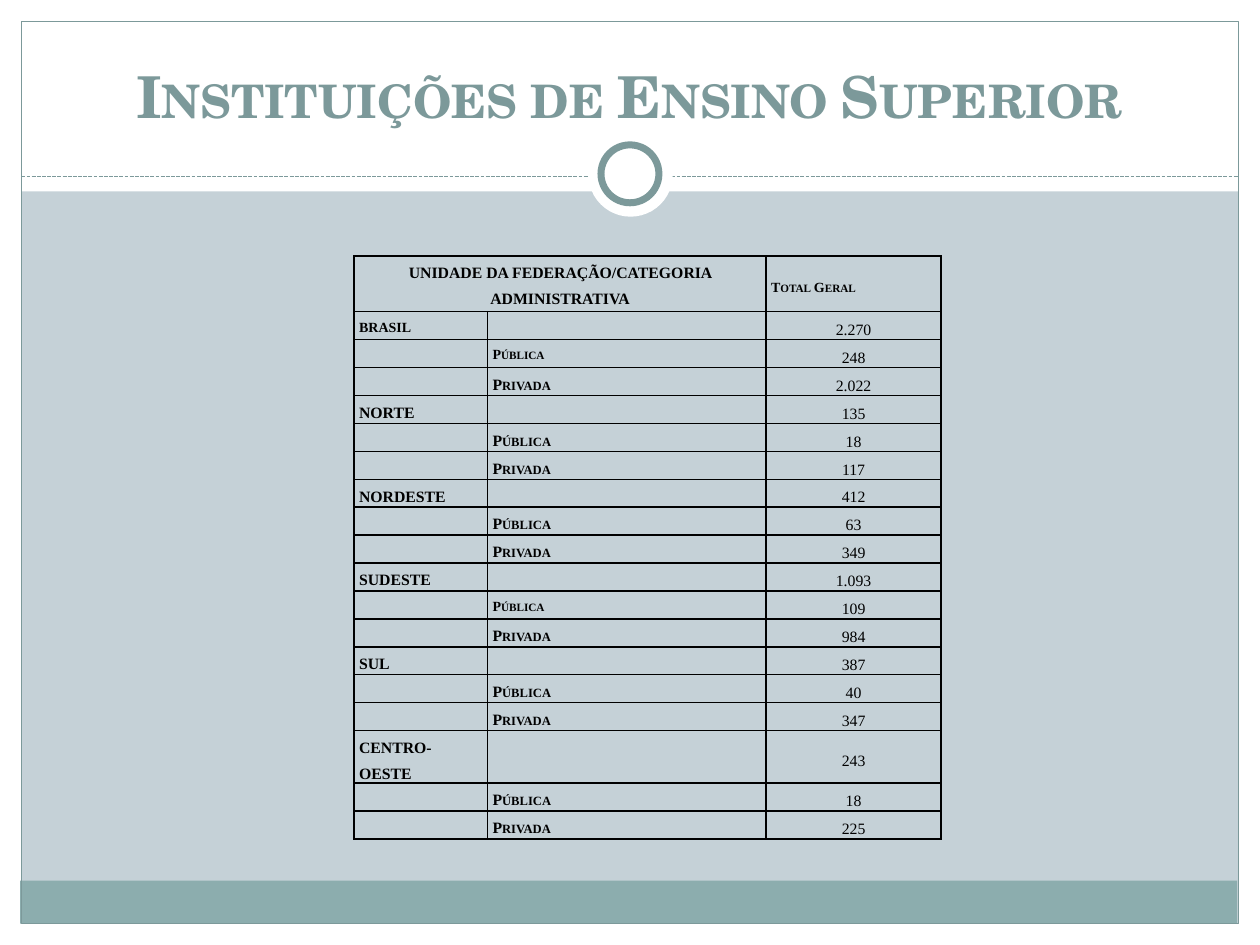
from dataclasses import dataclass

from lxml import etree
from pptx import Presentation
from pptx.dml.color import RGBColor
from pptx.enum.dml import MSO_LINE
from pptx.enum.shapes import MSO_CONNECTOR, MSO_SHAPE
from pptx.enum.text import MSO_ANCHOR, MSO_AUTO_SIZE, PP_ALIGN
from pptx.oxml.ns import qn
from pptx.util import Inches, Pt

RECT, OVAL = MSO_SHAPE.RECTANGLE, MSO_SHAPE.OVAL
STRAIGHT, DASH = MSO_CONNECTOR.STRAIGHT, MSO_LINE.SQUARE_DOT
LEFT, CENTER, JUSTIFY = PP_ALIGN.LEFT, PP_ALIGN.CENTER, PP_ALIGN.JUSTIFY
TOP, MIDDLE, BOTTOM = MSO_ANCHOR.TOP, MSO_ANCHOR.MIDDLE, MSO_ANCHOR.BOTTOM
TITLE_ONLY = 5
COLS, ROWS = 100, 75  # slide grid


@dataclass(frozen=True)
class Theme:
    background: str = "C5D1D7"
    paper: str = "FFFFFF"
    accent: str = "7C999A"
    band: str = "8CADAE"
    ink: str = "000000"
    title_font: str = "TeX Gyre Schola"
    table_font: str = "Times New Roman"
    title_size: float = 33
    cell_size: float = 9
    small_size: float = 8
    hairline: float = 0.75
    ring: float = 4
    border: float = 1


def rgb(value):
    return RGBColor.from_string(value)


class SlideBuilder:
    """Places styled elements on one slide, in grid columns and rows."""

    def __init__(self, prs, theme):
        self.theme = theme
        self.col, self.row = prs.slide_width / COLS, prs.slide_height / ROWS
        self.s = prs.slides.add_slide(prs.slide_layouts[TITLE_ONLY])
        fill = self.s.background.fill
        fill.solid()
        fill.fore_color.rgb = rgb(theme.background)

    def at(self, x, y, w, h):
        return (round(x * self.col), round(y * self.row),
                round(w * self.col), round(h * self.row))

    def shape(self, kind, box, fill=None, line=None, width=0):
        sp = self.s.shapes.add_shape(kind, *self.at(*box))
        sp.shadow.inherit = False
        if fill:
            sp.fill.solid()
            sp.fill.fore_color.rgb = rgb(fill)
        else:
            sp.fill.background()
        if line:
            sp.line.color.rgb = rgb(line)
            sp.line.width = Pt(width)
        else:
            sp.line.fill.background()

    def dashed_rule(self, x1, x2, y):
        ends = self.at(x1, y, x2, y)
        cn = self.s.shapes.add_connector(STRAIGHT, *ends)
        cn.line.color.rgb = rgb(self.theme.accent)
        cn.line.width = Pt(self.theme.hairline)
        cn.line.dash_style = DASH
        etree.SubElement(cn.element.spPr, qn("a:effectLst"))

    def format_run(self, r, font, size, color, bold, small_caps):
        r.font.name, r.font.size, r.font.bold = font, Pt(size), bold
        r.font.color.rgb = rgb(color)
        if small_caps:
            r._r.get_or_add_rPr().set("cap", "small")

    def title(self, text, box):
        sp = self.s.shapes.title
        self.s.shapes.element.append(sp.element)  # in front of the frame
        sp.left, sp.top, sp.width, sp.height = self.at(*box)
        tf = sp.text_frame
        tf.text = text
        tf.word_wrap, tf.auto_size = True, MSO_AUTO_SIZE.NONE
        tf.vertical_anchor = BOTTOM
        p = tf.paragraphs[0]
        p.alignment = CENTER
        t = self.theme
        self.format_run(p.runs[0], t.title_font, t.title_size, t.accent, True, True)

    def table(self, x, y, col_widths, row_heights):
        box = self.at(x, y, sum(col_widths), sum(row_heights))
        frame = self.s.shapes.add_table(len(row_heights), len(col_widths), *box)
        tbl = frame.table
        tbl.first_row = tbl.horz_banding = False
        for column, width in zip(tbl.columns, col_widths):
            column.width = round(width * self.col)
        for row, height in zip(tbl.rows, row_heights):
            row.height = round(height * self.row)
        for cell in tbl.iter_cells():
            self.blank_cell(cell)
        return tbl

    def blank_cell(self, cell):
        """Clear the fill, draw the borders and keep the empty line small."""
        cell.margin_left = cell.margin_right = Inches(0.04)
        cell.margin_top = cell.margin_bottom = 0
        tcPr = cell._tc.get_or_add_tcPr()
        for side in ("a:lnL", "a:lnR", "a:lnT", "a:lnB"):
            ln = etree.SubElement(tcPr, qn(side), w=str(Pt(self.theme.border)))
            fill = etree.SubElement(ln, qn("a:solidFill"))
            etree.SubElement(fill, qn("a:srgbClr"), val=self.theme.ink)
        cell.fill.background()
        p = cell.text_frame.paragraphs[0]
        size = str(int(self.theme.cell_size * 100))
        etree.SubElement(p._p, qn("a:endParaRPr"), sz=size)

    def cell(self, cell, text, align, anchor=TOP, size=None, bold=True,
             small_caps=False):
        cell.vertical_anchor = anchor
        p = cell.text_frame.paragraphs[0]
        p.text = text
        p.alignment, p.line_spacing = align, 1.5
        t = self.theme
        self.format_run(p.runs[0], t.table_font, size or t.cell_size, t.ink,
                        bold, small_caps)


def draw_frame(b):
    t = b.theme
    for edge in ((0, 73.3, 100, 1.7), (0, 0, 100, 15.2),
                 (0, 0, 1.7, 75), (98.3, 0, 1.7, 75)):
        b.shape(RECT, edge, t.paper)
    b.shape(RECT, (1.6, 69.9, 96.6, 3.4), t.band)
    b.shape(RECT, (1.7, 1.7, 96.6, 71.6), line=t.accent, width=t.hairline)
    b.dashed_rule(1.7, 98.3, 14)
    b.shape(OVAL, (46.7, 10.5, 6.7, 6.7), t.paper)
    b.shape(OVAL, (47.7, 11.5, 4.6, 4.6), t.paper, t.accent, t.ring)


# region: (total, public, private)
INSTITUTIONS = {
    "BRASIL": ("2.270", "248", "2.022"),
    "NORTE": ("135", "18", "117"),
    "NORDESTE": ("412", "63", "349"),
    "SUDESTE": ("1.093", "109", "984"),
    "SUL": ("387", "40", "347"),
    "CENTRO-OESTE": ("243", "18", "225"),
}
CATEGORIES = ("Pública", "Privada")
SMALL_LABELS = {("BRASIL", "BRASIL"), ("BRASIL", "Pública"), ("SUDESTE", "Pública")}


def draw_institutions(b):
    small = b.theme.small_size
    line = 2.22
    heights = [2 * line] + [line] * (3 * len(INSTITUTIONS))
    tbl = b.table(28.1, 20.3, (10.6, 22.1, 13.9), heights)
    tbl.cell(0, 0).merge(tbl.cell(0, 1))
    b.cell(tbl.cell(0, 0), "UNIDADE DA FEDERAÇÃO/CATEGORIA ADMINISTRATIVA", CENTER)
    b.cell(tbl.cell(0, 2), "Total Geral", LEFT, MIDDLE, small, small_caps=True)
    row = 1
    for region, values in INSTITUTIONS.items():
        for label, value in zip((region, *CATEGORIES), values):
            is_category = label in CATEGORIES
            size = small if (region, label) in SMALL_LABELS else None
            b.cell(tbl.cell(row, int(is_category)), label, JUSTIFY, size=size,
                   small_caps=is_category)
            b.cell(tbl.cell(row, 2), value, CENTER, MIDDLE, bold=False)
            row += 1


def main():
    prs = Presentation()
    prs.slide_width, prs.slide_height = Inches(10), Inches(7.5)
    b = SlideBuilder(prs, Theme())
    draw_frame(b)
    b.title("Instituições de Ensino Superior", (3.3, 2.5, 93.3, 8.3))
    draw_institutions(b)
    prs.save("out.pptx")


if __name__ == "__main__":
    main()
